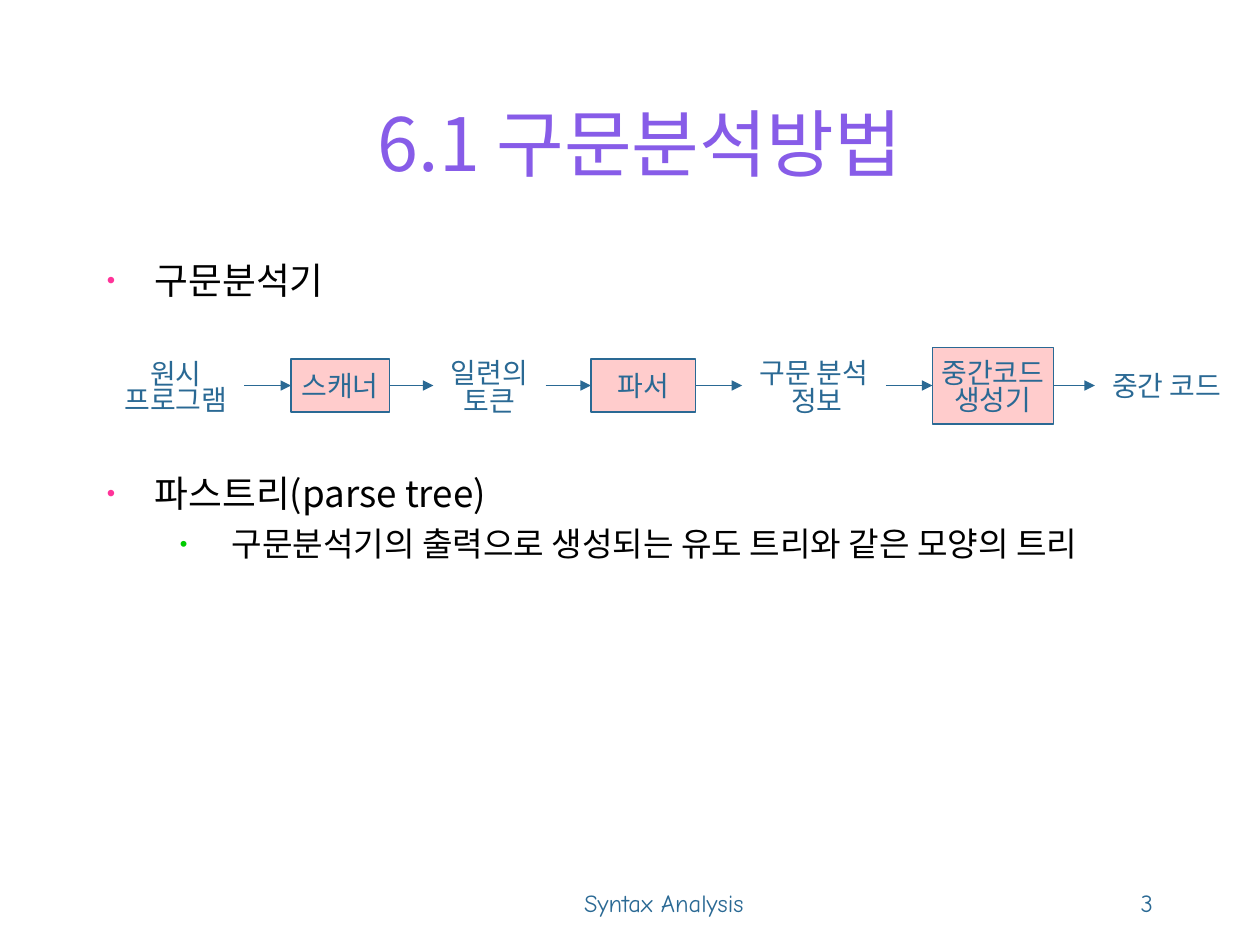
from itertools import pairwise
from lxml import etree
from pptx import Presentation
from pptx.dml.color import RGBColor
from pptx.enum.shapes import MSO_CONNECTOR, MSO_SHAPE
from pptx.enum.text import MSO_ANCHOR, MSO_AUTO_SIZE, PP_ALIGN
from pptx.oxml.ns import qn
from pptx.util import Inches, Pt

LEFT, MID, RIGHT = PP_ALIGN.LEFT, PP_ALIGN.CENTER, PP_ALIGN.RIGHT
TOP, CORE, BASE = MSO_ANCHOR.TOP, MSO_ANCHOR.MIDDLE, MSO_ANCHOR.BOTTOM
RECT, LINE = MSO_SHAPE.RECTANGLE, MSO_CONNECTOR.STRAIGHT
GROW = MSO_AUTO_SIZE.SHAPE_TO_FIT_TEXT

# Styles: size, font, colour
THEME = {
    "title": (42, "Noto Sans CJK KR", "875CE8"),
    "point": (21, "Noto Sans CJK KR", "000000"),
    "sub": (19, "Noto Sans CJK KR", "000000"),
    "flow": (16, "Times New Roman", "2A6994"),
    "foot": (14, "Comic Neue", "2A6994"),
    "hangul": "Noto Sans CJK KR",
    "ink": "2A6994",
    "box": "FFCCCC",
}
# Bullets: left margin, hang, space before, colour
BULLETS = {"point": (0.38, 0.38, 5.2, "FF3399"),
           "sub": (0.99, 0.41, 4.8, "00CC00")}

# Labels: style, text, place, alignment, anchor
LABELS = [
    ("title", "6.1 구문분석방법", (0.83, 0.5, 8.5, 1.25), MID, CORE),
    ("foot", "Syntax Analysis", (2.87, 6.83, 4.8, 0.5), MID, BASE),
    ("foot", "3", (7.75, 7, 1.5, 0.33), RIGHT, TOP),
]
# Lists: top, height, points
LISTS = [
    (2, 0.6, [("point", "구문분석기")]),
    (3.69, 1, [("point", "파스트리(parse tree)"),
               ("sub", "구문분석기의 출력으로 생성되는 유도 트리와 같은 모양의 트리")]),
]
# Flow: boxed, left, width, height, lines, spacing of the second line
FLOW = [
    (False, 0.89, 1.01, 0.56, ["원시", "프로그램"], 0.5),
    (True, 2.31, 0.78, 0.42, ["스캐너"], None),
    (False, 3.48, 0.81, 0.58, ["일련의", "토큰"], 0.6),
    (True, 4.69, 0.83, 0.42, ["파서"], None),
    (False, 5.93, 1.06, 0.58, ["구문 분석", " 정보"], 0.6),
    (True, 7.4, 0.96, 0.61, ["중간코드", "생성기"], 0.8),
    (False, 8.73, 1.06, 0.37, ["중간 코드"], None),
]
AXIS, GAP, INSET = 3.06, 0.04, 0.02


def rgb(code):
    return RGBColor.from_string(code)


def add(node, tag, **attrs):
    return etree.SubElement(node, qn(tag), attrs)


def style(para, name, align):
    size, face, color = THEME[name]
    para.alignment = align
    font = para.font
    font.size, font.name = Pt(size), face
    font.color.rgb = rgb(color)
    props = para._p.get_or_add_pPr().find(qn("a:defRPr"))
    add(props, "a:ea", typeface=THEME["hangul"])


def bullet(para, name):
    margin, hang, before, color = BULLETS[name]
    para.space_before = Pt(before)
    props = para._p.get_or_add_pPr()
    props.set("marL", str(Inches(margin)))
    props.set("indent", str(-Inches(hang)))
    font = props.find(qn("a:defRPr"))
    hue = add(props, "a:buClr")
    add(hue, "a:srgbClr", val=color)
    marks = [hue, add(props, "a:buSzPct", val="65000"),
             add(props, "a:buFont", typeface="Arial"),
             add(props, "a:buChar", char="•")]
    for mark in marks:
        font.addprevious(mark)


def fill(frame, items, align, anchor):
    """Write (style, text) pairs as paragraphs and return them."""
    frame.vertical_anchor = anchor
    paras = []
    for i, (name, text) in enumerate(items):
        para = frame.add_paragraph() if i else frame.paragraphs[0]
        para.text = text
        style(para, name, align)
        paras.append(para)
    return paras


def textbox(shapes, place, items, align, anchor):
    frame = shapes.add_textbox(*map(Inches, place)).text_frame
    frame.word_wrap = True
    return fill(frame, items, align, anchor)


def step(shapes, item):
    boxed, left, width, height, lines, pitch = item
    place = [Inches(v) for v in (left, AXIS - height / 2, width, height)]
    if boxed:
        shape = shapes.add_shape(RECT, *place)
        shape.shadow.inherit = False
        shape.fill.solid()
        shape.fill.fore_color.rgb = rgb(THEME["box"])
        shape.line.color.rgb = rgb(THEME["ink"])
        shape.line.width = Pt(0.75)
    else:
        shape = shapes.add_textbox(*place)
    frame = shape.text_frame
    frame.word_wrap = False
    paras = fill(frame, [("flow", text) for text in lines], MID, CORE)
    if not boxed:
        # Narrow side insets keep each line whole
        frame.auto_size = GROW
        frame.margin_left = frame.margin_right = Inches(INSET)
        for para in paras:
            para.space_before = Pt(4)
    if pitch:
        paras[1].line_spacing = pitch
    return shape


def arrow(shapes, start, end):
    (item, shape), (goal, mark) = start, end
    x1 = item[1] + item[2] + (0 if item[0] else GAP)
    x2 = goal[1] - (0 if goal[0] else GAP)
    line = shapes.add_connector(
        LINE, Inches(x1), Inches(AXIS), Inches(x2), Inches(AXIS))
    if item[0]:
        line.begin_connect(shape, 3)
    if goal[0]:
        line.end_connect(mark, 1)
    line.line.color.rgb = rgb(THEME["ink"])
    line.line.width = Pt(0.75)
    add(line.line._get_or_add_ln(), "a:tailEnd", type="triangle")
    add(line._element.spPr, "a:effectLst")


def main():
    deck = Presentation()
    deck.slide_width, deck.slide_height = Inches(10), Inches(7.5)
    shapes = deck.slides.add_slide(deck.slide_layouts[6]).shapes

    # Title and footer
    for name, text, place, align, anchor in LABELS:
        textbox(shapes, place, [(name, text)], align, anchor)

    # Bulleted points
    for top, height, items in LISTS:
        paras = textbox(shapes, (0.75, top, 9, height), items, LEFT, TOP)
        for para, (name, _) in zip(paras, items):
            bullet(para, name)

    # Flow of steps and arrows
    steps = [(item, step(shapes, item)) for item in FLOW]
    for start, end in pairwise(steps):
        arrow(shapes, start, end)

    deck.save("out.pptx")


if __name__ == "__main__":
    main()
